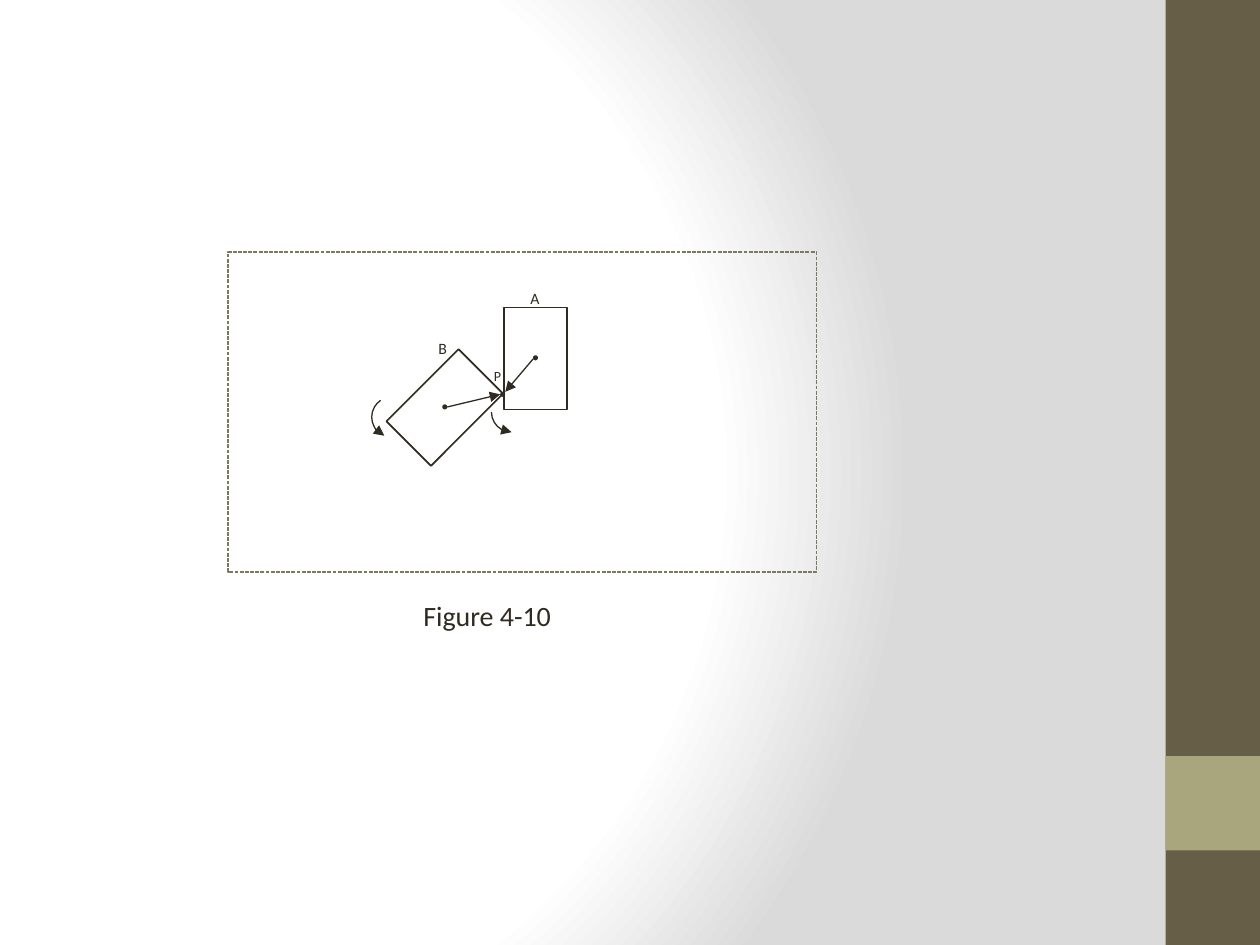
from dataclasses import dataclass

from pptx import Presentation
from pptx.dml.color import RGBColor
from pptx.enum.dml import MSO_LINE
from pptx.enum.shapes import MSO_CONNECTOR, MSO_SHAPE
from pptx.enum.text import MSO_AUTO_SIZE
from pptx.oxml import parse_xml
from pptx.oxml.ns import nsdecls, qn
from pptx.util import Inches, Pt


@dataclass(frozen=True)
class Theme:
    ink: str = "2F2B20"
    frame: str = "7D7A5C"
    band: str = "675E47"
    accent: str = "A9A57C"
    glow: str = "FFFFFF"
    shade: str = "DADADA"
    font: str = "Calibri"
    caption: int = 16
    label: int = 9
    small_label: int = 8
    outline: float = 1
    thin: float = 0.75


THEME = Theme()
BODY_SIZE = (0.5, 0.81)
DOT_SIZE = (0.04, 0.04)
TURN_SIZE = (0.32, 0.32)


def set_all(target, values):
    for name, value in values.items():
        setattr(target, name, value)


def paint_background(slide):
    slide.background.fill.solid()
    properties = slide.element.find(".//" + qn("p:bgPr"))
    stops = "".join(
        f'<a:gs pos="{position * 1000}"><a:srgbClr val="{color}"/></a:gs>'
        for position, color in ((0, THEME.glow), (75, THEME.glow), (100, THEME.shade))
    )
    gradient = parse_xml(
        f'<a:gradFill {nsdecls("a")} rotWithShape="1"><a:gsLst>{stops}</a:gsLst>'
        '<a:path path="circle">'
        '<a:fillToRect l="20000" t="50000" r="100000" b="50000"/>'
        "</a:path></a:gradFill>"
    )
    properties.replace(properties.find(qn("a:solidFill")), gradient)


def add_solid(slide, preset, position, size, color, rotation=0):
    solid = slide.shapes.add_shape(preset, *map(Inches, position + size))
    set_all(solid, {"rotation": rotation})
    solid.shadow.inherit = False
    solid.fill.solid()
    solid.fill.fore_color.rgb = RGBColor.from_string(color)
    solid.line.fill.background()
    return solid


def style_line(line, color, width, dash=None):
    line.color.rgb = RGBColor.from_string(color)
    set_all(line, {"width": Pt(width), "dash_style": dash})


def add_outline(slide, preset, position, size, color, width, rotation=0, dash=None):
    outline = slide.shapes.add_shape(preset, *map(Inches, position + size))
    set_all(outline, {"rotation": rotation})
    outline.shadow.inherit = False
    outline.fill.background()
    style_line(outline.line, color, width, dash)
    return outline


def add_arrowhead(drawn, end):
    line = drawn.element.spPr.find(qn("a:ln"))
    line.append(parse_xml(f'<a:{end} {nsdecls("a")} type="triangle"/>'))


def add_arm(slide, start, contact):
    arm = slide.shapes.add_connector(
        MSO_CONNECTOR.STRAIGHT, *map(Inches, start + contact)
    )
    style_line(arm.line, THEME.ink, THEME.thin)
    add_arrowhead(arm, "tailEnd")
    arm.element.spPr.append(parse_xml(f'<a:effectLst {nsdecls("a")}/>'))


def add_turn(slide, position, angles=()):
    turn = add_outline(
        slide, MSO_SHAPE.ARC, position, TURN_SIZE, THEME.ink, THEME.thin, 180
    )
    for index, angle in enumerate(angles):
        turn.adjustments[index] = angle
    add_arrowhead(turn, "headEnd")


def add_text(slide, text, position, size, points, wrap=False):
    frame = slide.shapes.add_textbox(*map(Inches, position + size)).text_frame
    set_all(frame, {
        "margin_left": 0,
        "margin_right": 0,
        "margin_top": Inches(0.05),
        "margin_bottom": Inches(0.05),
        "word_wrap": wrap,
        "auto_size": MSO_AUTO_SIZE.SHAPE_TO_FIT_TEXT,
    })
    run = frame.paragraphs[0].add_run()
    run.text = text
    set_all(run.font, {"name": THEME.font, "size": Pt(points)})
    run.font.color.rgb = RGBColor.from_string(THEME.ink)


def add_body(slide, position, center, rotation=0):
    add_outline(slide, MSO_SHAPE.RECTANGLE, position, BODY_SIZE,
                THEME.ink, THEME.outline, rotation)
    add_solid(slide, MSO_SHAPE.OVAL, center, DOT_SIZE, THEME.ink, rotation)


def main():
    presentation = Presentation()
    set_all(presentation, {"slide_width": Inches(10), "slide_height": Inches(7.5)})
    slide = presentation.slides.add_slide(presentation.slide_layouts[6])
    paint_background(slide)

    add_solid(slide, MSO_SHAPE.RECTANGLE, (9.25, 0), (0.75, 7.5), THEME.band)
    add_solid(slide, MSO_SHAPE.RECTANGLE, (9.25, 6), (0.75, 0.75), THEME.accent)

    add_outline(slide, MSO_SHAPE.RECTANGLE, (1.81, 2), (4.67, 2.54),
                THEME.frame, THEME.thin, dash=MSO_LINE.SQUARE_DOT)
    add_text(slide, "Figure 4-10", (3.36, 4.7), (2.32, 0.37), THEME.caption, True)

    add_body(slide, (4, 2.44), (4.23, 2.82))
    add_body(slide, (3.28, 2.83), (3.51, 3.21), 45)
    add_solid(slide, MSO_SHAPE.OVAL, (3.97, 3.11), DOT_SIZE, THEME.ink)

    add_arm(slide, (4.23, 2.85), (4.01, 3.11))
    add_arm(slide, (3.55, 3.23), (3.97, 3.13))
    add_turn(slide, (3.9, 3.11))
    add_turn(slide, (2.95, 3.15), (175.33, 33.71))

    for name, position, points in (
        ("A", (4.21, 2.24), THEME.label),
        ("B", (3.48, 2.64), THEME.label),
        ("P", (3.92, 2.87), THEME.small_label),
    ):
        add_text(slide, name, position, (0.07, 0.25), points)

    presentation.save("out.pptx")


if __name__ == "__main__":
    main()
